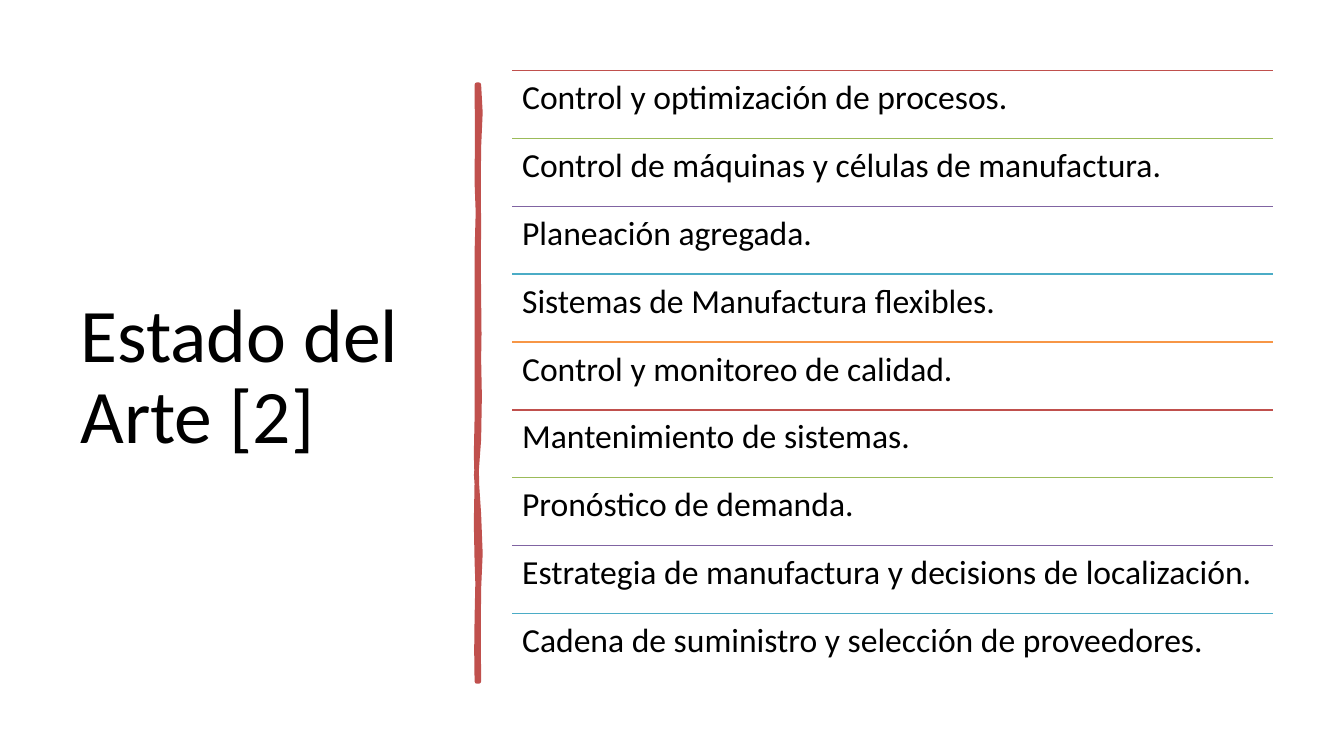
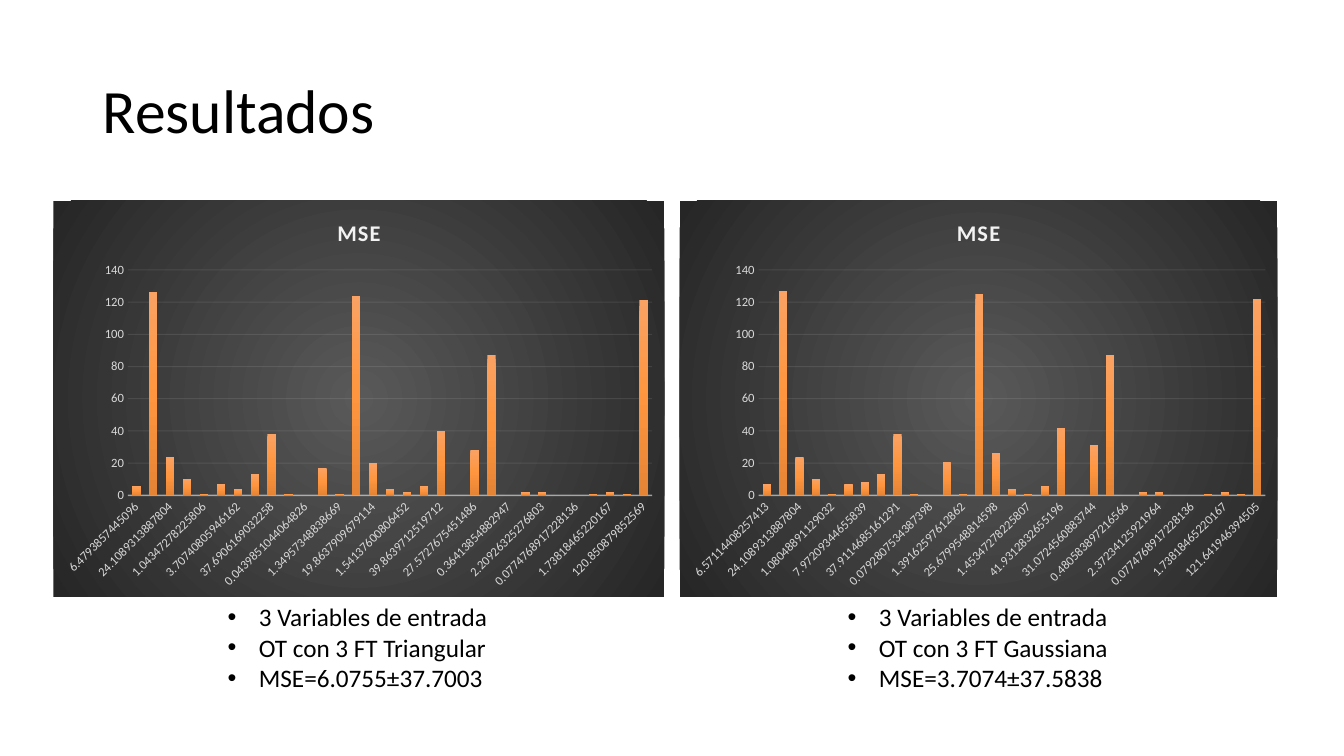
from collections import namedtuple

from lxml.etree import SubElement
from pptx import Presentation
from pptx.chart.data import CategoryChartData
from pptx.dml.color import RGBColor
from pptx.enum.chart import XL_CHART_TYPE, XL_TICK_MARK
from pptx.enum.shapes import MSO_CONNECTOR
from pptx.enum.text import MSO_ANCHOR
from pptx.oxml import parse_xml
from pptx.oxml.ns import nsdecls, qn
from pptx.util import Inches, Pt

Box = namedtuple("Box", "left top width height")

FONT = "Calibri"
BLACK = RGBColor(0x00, 0x00, 0x00)
RED = RGBColor(0xC0, 0x50, 0x4D)
GREEN = RGBColor(0x9B, 0xBB, 0x59)
PURPLE = RGBColor(0x80, 0x64, 0xA2)
TEAL = RGBColor(0x4B, 0xAC, 0xC6)
ORANGE = RGBColor(0xF7, 0x96, 0x46)
PALE = RGBColor(0xF2, 0xF2, 0xF2)
LABEL_GREY = RGBColor(0xD9, 0xD9, 0xD9)
PANEL_CENTRE = RGBColor(0x59, 0x59, 0x59)
PANEL_EDGE = RGBColor(0x26, 0x26, 0x26)
BAR_TOP = RGBColor(0xFA, 0xA2, 0x63)
BAR_MIDDLE = RGBColor(0xFF, 0x95, 0x3E)
BAR_BOTTOM = RGBColor(0xE5, 0x84, 0x35)
RULE_COLOURS = [RED, GREEN, PURPLE, TEAL, ORANGE]

TOPICS = [
    "Control y optimización de procesos.",
    "Control de máquinas y células de manufactura.",
    "Planeación agregada.",
    "Sistemas de Manufactura flexibles.",
    "Control y monitoreo de calidad.",
    "Mantenimiento de sistemas.",
    "Pronóstico de demanda.",
    "Estrategia de manufactura y decisions de localización.",
    "Cadena de suministro y selección de proveedores.",
]

BRUSH_START = (2, 0)
BRUSH_CURVES = [
    [(4, 18), (4, 35), (2, 62)],
    [(0, 89), (3, 111), (2, 142)],
    [(1, 173), (2, 178), (2, 210)],
    [(1, 241), (4, 258), (2, 272)],
    [(0, 286), (6, 330), (2, 352)],
    [(-2, 373), (-1, 400), (2, 426)],
    [(4, 452), (4, 480), (2, 500)],
    [(0, 519), (3, 566), (2, 592)],
    [(1, 592), (0, 592), (0, 592)],
    [(1, 562), (-2, 560), (0, 529)],
    [(1, 499), (1, 486), (0, 473)],
    [(-1, 460), (-1, 411), (0, 393)],
    [(0, 375), (-2, 361), (0, 331)],
    [(1, 302), (-1, 289), (0, 251)],
    [(1, 214), (-1, 197), (0, 166)],
    [(1, 134), (2, 116), (0, 97)],
    [(-3, 79), (4, 20), (0, 0)],
]

TRIANGULAR_ERRORS = [
    6.4793857445096, 126.238206600362, 24.1089313887804, 9.93773506014534,
    1.04347278225806, 6.95860992260641, 3.70740805946162, 13.2992381674173,
    37.6906169032258, 0.604096273676967, 0.0439851044064826, 16.5226221361286,
    1.34957348838669, 124.495409032773, 19.8637909679114, 3.70185987903226,
    1.54137600806452, 6.25384377870292, 39.8639712519712, 0.137030252256992,
    27.5727675451486, 86.7723758678093, 0.364138548829470, 2.04392258064517,
    2.20926325276803, 0.00974986591636174, 0.0774768917228136,
    0.954826493491985, 1.73818465220167, 1.18957027236169, 120.850879852569,
]
GAUSSIAN_ERRORS = [
    6.57114408257413, 126.642123046814, 24.1089313887804, 9.71254903562922,
    1.08048891129032, 6.86417570131609, 7.97209344655839, 13.2992381674173,
    37.9114685161291, 0.848094653031805, 0.0792807534387398, 20.7001081929028,
    1.39162597612862, 124.896529863740, 25.6799548814598, 3.56492439516129,
    1.45347278225807, 6.07547357870291, 41.9312832655196, 0.111726347740862,
    31.0724560883744, 86.7723758678093, 0.480583897216566, 2.0956,
    2.37234125921964, 0.00974986591636174, 0.0774768917228136,
    0.954826493491985, 1.73818465220167, 1.18957027236169, 121.641946394505,
]


def style_font(font, size, colour=BLACK):
    """Apply the shared typeface with a size and colour."""
    font.name = FONT
    font.size = Pt(size)
    font.color.rgb = colour


def add_text(slide, box, lines, size, spacing=None, anchor=MSO_ANCHOR.TOP):
    """Add a wrapped text box and return its shape."""
    shape = slide.shapes.add_textbox(*map(Inches, box))
    frame = shape.text_frame
    frame.word_wrap = True
    frame.vertical_anchor = anchor
    frame.text = "\n".join(lines)
    for paragraph in frame.paragraphs:
        style_font(paragraph.font, size)
        paragraph.line_spacing = spacing
    return shape


def add_title(slide, box, text, size):
    """Add a slide title centred vertically in its box."""
    add_text(slide, box, [text], size, 0.9, MSO_ANCHOR.MIDDLE)


def curve_point(points, share):
    """Return the point at a share of the way along a cubic curve."""
    rest = 1 - share
    weights = [rest**3, 3 * rest**2 * share, 3 * rest * share**2, share**3]
    return tuple(sum(w * p[axis] for w, p in zip(weights, points)) for axis in (0, 1))


def add_brush_stroke(slide, left, top, steps=2):
    """Draw the wavy vertical divider from its top left corner."""
    outline = [BRUSH_START]
    for curve in BRUSH_CURVES:
        points = [outline[-1], *curve]
        outline += [curve_point(points, step / steps) for step in range(1, steps + 1)]
    outline = [(Inches(left + x / 100), Inches(top + y / 100)) for x, y in outline]
    builder = slide.shapes.build_freeform(*outline[0], scale=1.0)
    builder.add_line_segments(outline[1:], close=True)
    shape = builder.convert_to_shape()
    shape.shadow.inherit = False
    shape.fill.solid()
    shape.fill.fore_color.rgb = RED
    shape.line.color.rgb = RED
    shape.line.width = Pt(3.25)


def add_rule(slide, left, top, width, colour):
    """Draw a thin horizontal rule."""
    ends = map(Inches, (left, top, left + width, top))
    rule = slide.shapes.add_connector(MSO_CONNECTOR.STRAIGHT, *ends)
    rule.line.color.rgb = colour
    rule.line.width = Pt(1)
    SubElement(rule.element.spPr, qn("a:effectLst"))


def add_ruled_list(slide, box, items):
    """Stack items in equal rows, each under a coloured rule."""
    row = box.height / len(items)
    for index, item in enumerate(items):
        top = box.top + index * row
        colour = RULE_COLOURS[index % len(RULE_COLOURS)]
        add_rule(slide, box.left, top, box.width, colour)
        text_box = Box(box.left, top, box.width, row)
        shape = add_text(slide, text_box, [item], 24, 0.9)
        shape.text_frame.margin_top = shape.text_frame.margin_bottom = Inches(0.1)


def add_bullets(slide, box, lines):
    """Add a bulleted text box with hanging indents."""
    shape = add_text(slide, box, lines, 18)
    for properties in shape.element.iter(qn("a:pPr")):
        properties.set("marL", str(Inches(0.31)))
        properties.set("indent", str(-Inches(0.31)))
        default_run = properties.find(qn("a:defRPr"))
        for bullet in ('buFont {} typeface="Arial"', 'buChar {} char="•"'):
            default_run.addprevious(parse_xml(f"<a:{bullet.format(nsdecls('a'))}/>"))


def gradient_xml(colours, direction):
    """Return a gradient fill with evenly spaced stops."""
    gap = 100000 // (len(colours) - 1)
    stops = "".join(
        f'<a:gs pos="{index * gap}"><a:srgbClr val="{colour}"/></a:gs>'
        for index, colour in enumerate(colours)
    )
    return f"<a:gradFill><a:gsLst>{stops}</a:gsLst>{direction}</a:gradFill>"


def shape_properties(fill):
    """Return chart shape properties with a fill and no outline."""
    return parse_xml(
        f'<c:spPr {nsdecls("c", "a")}>{fill}<a:ln><a:noFill/></a:ln></c:spPr>'
    )


def chart_part(chart, tag):
    """Return the first chart element with a tag."""
    return next(chart.element.iter(qn(tag)))


def style_faint_line(chart, line, tag, width, opacity):
    """Give a chart line the pale colour at a percentage of opacity."""
    line.color.rgb = PALE
    line.width = Pt(width)
    colour = chart_part(chart, tag).find(qn("c:spPr")).find(".//" + qn("a:srgbClr"))
    SubElement(colour, qn("a:alpha")).set("val", str(opacity * 1000))


def style_axes(chart):
    """Style both axes and the gridlines."""
    category_axis, value_axis = chart.category_axis, chart.value_axis
    for axis in (category_axis, value_axis):
        axis.major_tick_mark = axis.minor_tick_mark = XL_TICK_MARK.NONE
        style_font(axis.tick_labels.font, 9, LABEL_GREY)
    body = chart_part(chart, "c:catAx").find(qn("c:txPr")).find(qn("a:bodyPr"))
    body.set("rot", "-2700000")
    style_faint_line(chart, category_axis.format.line, "c:catAx", 1, 54)
    value_axis.format.line.fill.background()
    value_axis.minimum_scale, value_axis.maximum_scale = 0, 140
    value_axis.major_unit = 20
    gridline = value_axis.major_gridlines.format.line
    style_faint_line(chart, gridline, "c:majorGridlines", 0.75, 10)


def add_error_chart(slide, box, errors):
    """Add a dark column chart of squared errors."""
    data = CategoryChartData()
    data.categories = errors
    data.add_series("MSE", [round(error) for error in errors])
    chart = slide.shapes.add_chart(
        XL_CHART_TYPE.COLUMN_CLUSTERED, *map(Inches, box), data
    ).chart
    style_font(chart.font, 10)
    chart.has_legend = False
    chart.has_title = True
    chart.chart_title.text_frame.text = "MSE"
    title_font = chart.chart_title.text_frame.paragraphs[0].runs[0].font
    style_font(title_font, 16, PALE)
    title_font.bold = True
    chart_part(chart, "a:rPr").set("spc", "100")
    plot = chart.plots[0]
    plot.vary_by_categories = False
    plot.gap_width, plot.overlap = 100, -24
    style_axes(chart)
    circle = '<a:path path="circle"><a:fillToRect l="50000" t="50000" r="50000" b="50000"/></a:path>'
    panel = gradient_xml([PANEL_CENTRE, PANEL_EDGE], circle)
    chart_part(chart, "c:chart").addnext(shape_properties(panel))
    bars = gradient_xml([BAR_TOP, BAR_MIDDLE, BAR_BOTTOM], '<a:lin ang="5400000" scaled="0"/>')
    chart_part(chart, "c:ser").find(qn("c:tx")).addnext(shape_properties(bars))


def add_result(slide, box, text_left, errors, method, score):
    """Place a chart with its summary directly below."""
    add_error_chart(slide, box, errors)
    lines = ["3 Variables de entrada", f"OT con 3 FT {method}", f"MSE={score}"]
    add_bullets(slide, Box(text_left, box.top + box.height, 2.8, 1.01), lines)


def build_topics_slide(slide):
    """Build the slide that lists the state of the art."""
    add_title(slide, Box(0.7, 0.7, 3.74, 6.11), "Estado del Arte [2]", 54)
    add_brush_stroke(slide, 4.73, 0.84)
    add_ruled_list(slide, Box(5.08, 0.7, 7.55, 6.06), TOPICS)


def build_results_slide(slide):
    """Build the slide that compares two results."""
    add_title(slide, Box(0.92, 0.4, 11.5, 1.45), "Resultados", 44)
    add_result(slide, Box(0.53, 1.99, 6.06, 3.93), 2.16, TRIANGULAR_ERRORS, "Triangular", "6.0755±37.7003")
    add_result(slide, Box(6.74, 1.99, 5.93, 3.93), 8.31, GAUSSIAN_ERRORS, "Gaussiana", "3.7074±37.5838")


def main():
    """Build and save the presentation."""
    presentation = Presentation()
    presentation.slide_width, presentation.slide_height = Inches(13.33), Inches(7.5)
    for build in (build_topics_slide, build_results_slide):
        build(presentation.slides.add_slide(presentation.slide_layouts[6]))
    presentation.save("out.pptx")


if __name__ == "__main__":
    main()
